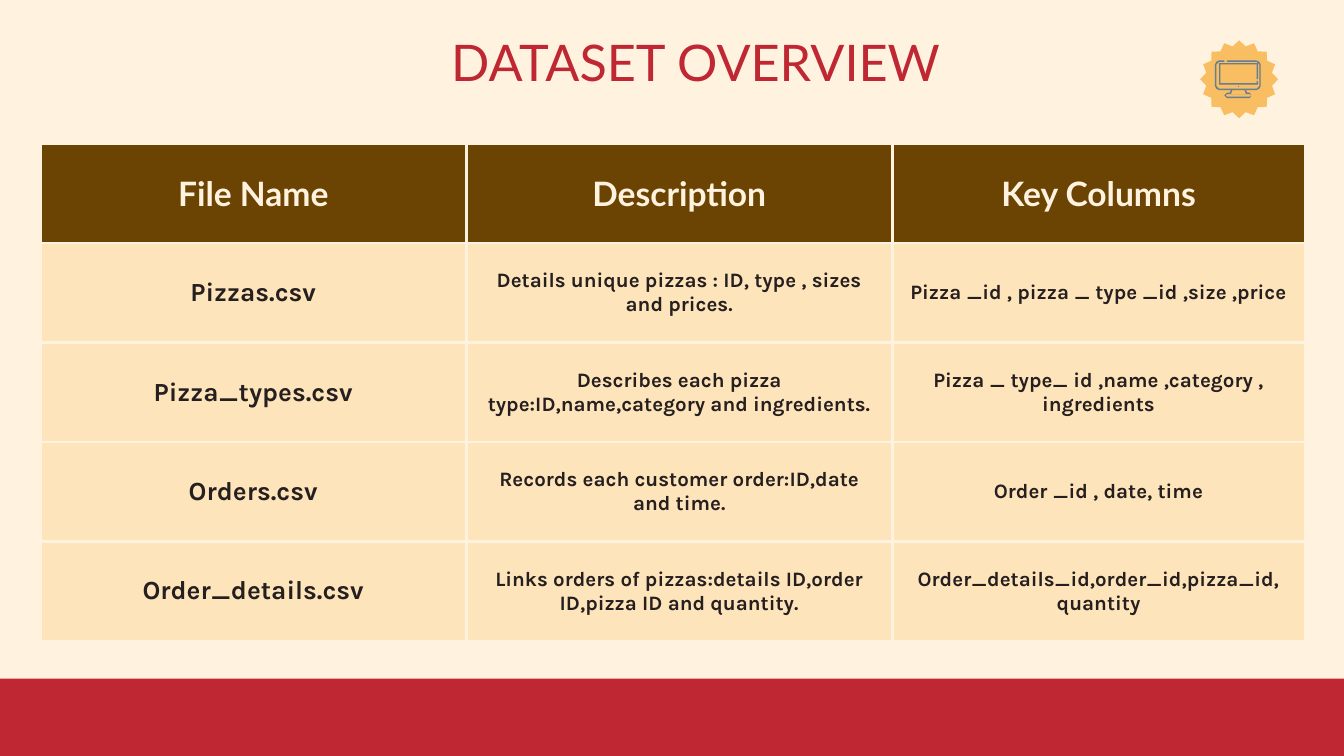
import dataclasses
import typing

import lxml.etree
import pptx
import pptx.dml.color
import pptx.enum.shapes
import pptx.enum.text
import pptx.oxml.ns
import pptx.util

Inches = pptx.util.Inches
Point = typing.Tuple[float, float]

COLORS = {
    "cream": "FFF3DF",
    "red": "BF2733",
    "orange": "F9BD62",
    "blue": "657E93",
    "brown": "6B4403",
    "sand": "FDE4BA",
    "ink": "261F1F",
}


@dataclasses.dataclass(frozen=True)
class TextStyle:
    font: str
    size: float
    color: str
    bold: bool


@dataclasses.dataclass(frozen=True)
class DataFile:
    name: str
    description: str
    key_columns: str


TITLE = TextStyle("Lato", 27, "red", False)
HEADER = TextStyle("Lato", 18, "cream", True)
FILE_NAME = TextStyle("Karla", 14, "ink", True)
DETAIL = TextStyle("Karla", 11, "ink", True)

PAGE_WIDTH = 10
PAGE_HEIGHT = PAGE_WIDTH * 9 / 16
BAND_TOP = 5.05

HEADINGS = ("File Name", "Description", "Key Columns")
FILES = (
    DataFile("Pizzas.csv", "Details unique pizzas : ID, type , sizes and prices.",
             "Pizza _id , pizza _ type _id ,size ,price"),
    DataFile("Pizza_types.csv", "Describes each pizza type:ID,name,category and ingredients.",
             "Pizza _ type_ id ,name ,category , ingredients"),
    DataFile("Orders.csv", "Records each customer order:ID,date and time.",
             "Order _id , date, time"),
    DataFile("Order_details.csv",
             "Links orders of pizzas:details ID,order ID,pizza ID and quantity.",
             "Order_details_id,order_id,pizza_id, quantity"),
)
COLUMN_WIDTHS = (3.17, 3.17, 3.07)
ROW_HEIGHT = 0.74

STAND_HOLE = ((9.26, 0.67), (9.27, 0.7), (9.16, 0.7), (9.17, 0.67))
BASE_HOLE = ((9.3, 0.7), (9.31, 0.71), (9.3, 0.72), (9.13, 0.72), (9.12, 0.71), (9.13, 0.7))
CASE = (
    (9.07, 0.45), (9.05, 0.46), (9.04, 0.48), (9.04, 0.64), (9.05, 0.66), (9.07, 0.67),
    (9.16, 0.67), (9.15, 0.69), (9.13, 0.69), (9.11, 0.71), (9.13, 0.73), (9.3, 0.73),
    (9.31, 0.71), (9.3, 0.69), (9.28, 0.69), (9.27, 0.67), (9.35, 0.67), (9.37, 0.66),
    (9.38, 0.64), (9.38, 0.48), (9.37, 0.46), (9.35, 0.45), (9.13, 0.45), (9.13, 0.46),
    (9.35, 0.46), (9.37, 0.48), (9.37, 0.64), (9.35, 0.66), (9.07, 0.66), (9.05, 0.64),
    (9.05, 0.48), (9.07, 0.46), (9.11, 0.46), (9.11, 0.45),
)
SCREEN = (
    (9.07, 0.47), (9.07, 0.63), (9.36, 0.63), (9.36, 0.61), (9.35, 0.6), (9.35, 0.62),
    (9.08, 0.62), (9.08, 0.48), (9.35, 0.48), (9.35, 0.59), (9.36, 0.59), (9.36, 0.47),
)
BUTTON = ((9.21, 0.64), (9.22, 0.64), (9.22, 0.65), (9.21, 0.65))


def color(name: str) -> pptx.dml.color.RGBColor:
    return pptx.dml.color.RGBColor.from_string(COLORS[name])


def paint(fill, name: str) -> None:
    fill.solid()
    fill.fore_color.rgb = color(name)


def finish(shape, name: str) -> None:
    paint(shape.fill, name)
    shape.line.fill.background()
    shape.shadow.inherit = False


def add_preset(slide, kind, box: typing.Sequence[float], name: str):
    shape = slide.shapes.add_shape(kind, *map(Inches, box))
    finish(shape, name)
    return shape


def add_outline(slide, contours: typing.Sequence[typing.Sequence[Point]], name: str) -> None:
    builder = None
    for contour in contours:
        start, *rest = [(Inches(x), Inches(y)) for x, y in contour]
        if builder is None:
            builder = slide.shapes.build_freeform(*start)
        else:
            builder.move_to(*start)
        builder.add_line_segments(rest, close=True)
    finish(builder.convert_to_shape(), name)


def write(frame, text: str, style: TextStyle) -> None:
    para = frame.paragraphs[0]
    para.alignment = pptx.enum.text.PP_ALIGN.CENTER
    span = para.add_run()
    span.text = text
    values = {"name": style.font, "size": pptx.util.Pt(style.size), "bold": style.bold}
    for key, value in values.items():
        setattr(span.font, key, value)
    span.font.color.rgb = color(style.color)


def add_borders(cell, name: str, width: float) -> None:
    properties = cell._tc.get_or_add_tcPr()
    qn = pptx.oxml.ns.qn
    for position, side in enumerate(("a:lnL", "a:lnR", "a:lnT", "a:lnB")):
        line = lxml.etree.Element(qn(side), w=str(pptx.util.Pt(width)))
        solid = lxml.etree.SubElement(line, qn("a:solidFill"))
        lxml.etree.SubElement(solid, qn("a:srgbClr"), val=COLORS[name])
        properties.insert(position, line)


def set_margins(holder) -> None:
    for side in ("left", "right", "top", "bottom"):
        setattr(holder, f"margin_{side}", Inches(0.1))


def fill_cell(cell, text: str, style: TextStyle, background: str) -> None:
    set_margins(cell)
    cell.vertical_anchor = pptx.enum.text.MSO_ANCHOR.MIDDLE
    paint(cell.fill, background)
    add_borders(cell, "cream", 1.5)
    write(cell.text_frame, text, style)


def add_title(slide, text: str) -> None:
    title = slide.shapes.title
    box = {"left": 0.96, "top": 0.13, "width": 8.43, "height": 0.63}
    for key, value in box.items():
        setattr(title, key, Inches(value))
    frame = title.text_frame
    set_margins(frame)
    frame.word_wrap = True
    frame.auto_size = pptx.enum.text.MSO_AUTO_SIZE.NONE
    frame.vertical_anchor = pptx.enum.text.MSO_ANCHOR.TOP
    write(frame, text, TITLE)


def add_file_table(slide) -> None:
    rows = len(FILES) + 1
    box = (0.3, 1.07, sum(COLUMN_WIDTHS), rows * ROW_HEIGHT)
    table = slide.shapes.add_table(rows, len(HEADINGS), *map(Inches, box)).table
    table.horz_banding = False
    for column, width in zip(table.columns, COLUMN_WIDTHS):
        column.width = Inches(width)
    for row in table.rows:
        row.height = Inches(ROW_HEIGHT)
    for column, heading in enumerate(HEADINGS):
        fill_cell(table.cell(0, column), heading, HEADER, "brown")
    for row, file in enumerate(FILES, start=1):
        for column, text in enumerate(dataclasses.astuple(file)):
            style = DETAIL if column else FILE_NAME
            fill_cell(table.cell(row, column), text, style, "sand")


def main() -> None:
    deck = pptx.Presentation()
    deck.slide_width, deck.slide_height = Inches(PAGE_WIDTH), Inches(PAGE_HEIGHT)
    page = deck.slides.add_slide(deck.slide_layouts[5])
    paint(page.background.fill, "cream")
    kinds = pptx.enum.shapes.MSO_SHAPE
    add_preset(page, kinds.RECTANGLE, (0, BAND_TOP, PAGE_WIDTH, PAGE_HEIGHT - BAND_TOP), "red")
    badge = add_preset(page, kinds.STAR_16_POINT, (8.93, 0.3, 0.58, 0.58), "orange")
    badge.adjustments[0] = 0.43
    add_title(page, "DATASET OVERVIEW")
    for contours in ((STAND_HOLE, BASE_HOLE, CASE), (SCREEN,), (BUTTON,)):
        add_outline(page, contours, "blue")
    add_file_table(page)
    deck.save("out.pptx")


if __name__ == "__main__":
    main()
